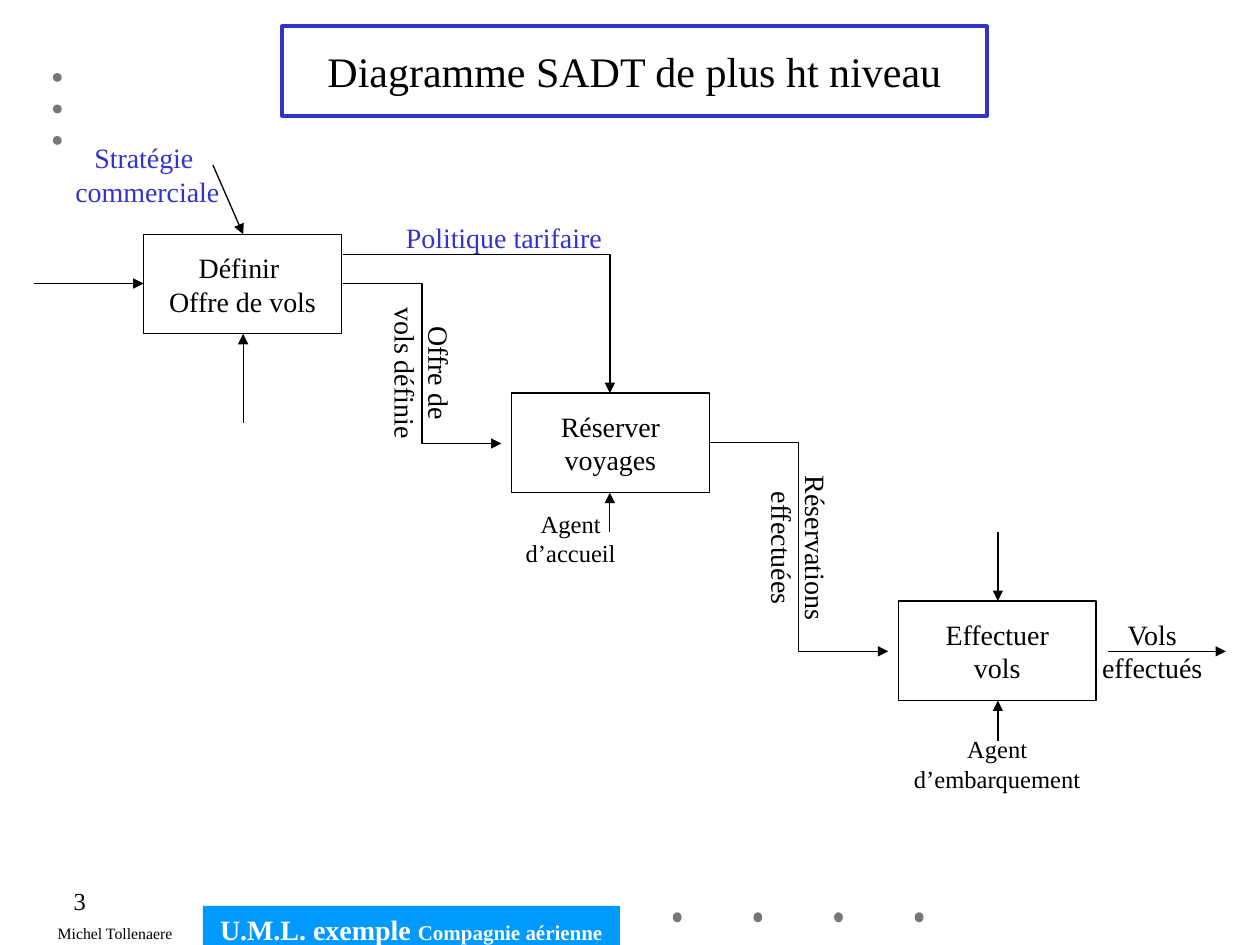
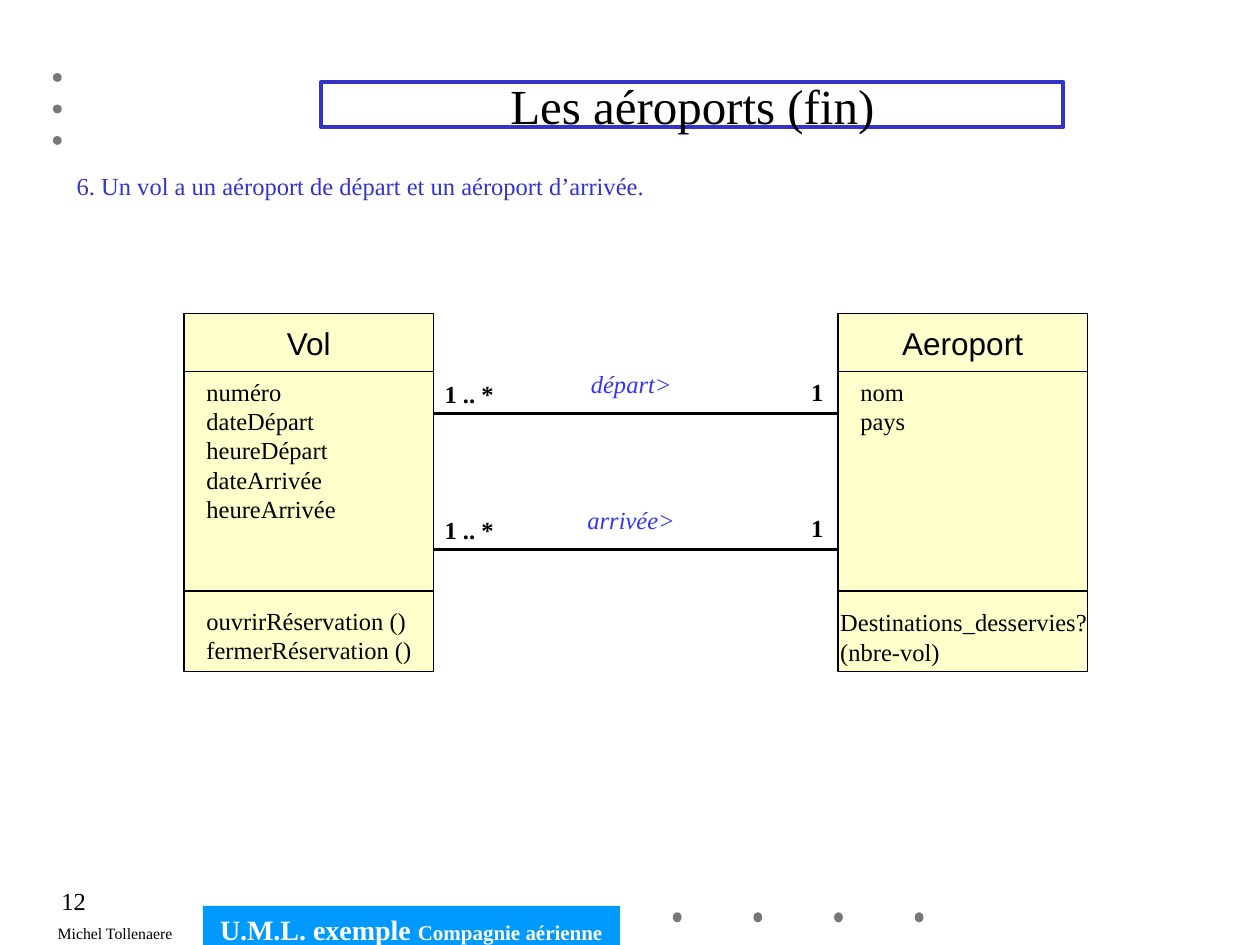
from pptx import Presentation
from pptx.dml.color import RGBColor
from pptx.enum.shapes import MSO_CONNECTOR, MSO_SHAPE
from pptx.enum.text import MSO_ANCHOR, MSO_AUTO_SIZE, PP_ALIGN
from pptx.oxml.ns import qn
from pptx.util import Inches, Pt
from lxml import etree

BLACK = RGBColor(0x00, 0x00, 0x00)
WHITE = RGBColor(0xFF, 0xFF, 0xFF)
GREY = RGBColor(0x77, 0x77, 0x77)
INDIGO = RGBColor(0x33, 0x33, 0xCC)
ROLE_BLUE = RGBColor(0x33, 0x33, 0xFF)
BAND_BLUE = RGBColor(0x00, 0x99, 0xFF)
CREAM = RGBColor(0xFF, 0xFF, 0xCC)

SERIF = "Times New Roman"
SANS = "Arial"
TITLE_ONLY = 5

PROCESS_WIDTH, PROCESS_HEIGHT = 1.57, 0.79
CLASS_TOP, CLASS_WIDTH, CLASS_HEIGHT = 2.49, 1.98, 2.84
CLASS_NAME_HEIGHT = 0.46
METHODS_LINE = 4.69


# Basic elements

def write(shape, text, size, color=BLACK, font=SERIF, align=PP_ALIGN.LEFT,
          bold=False, italic=False):
    frame = shape.text_frame
    frame.text = text
    for para in frame.paragraphs:
        para.alignment = align
        for span in para.runs:
            span.font.name = font
            span.font.size = Pt(size)
            span.font.color.rgb = color
            span.font.bold = bold
            span.font.italic = italic


def add_label(page, left, top, width, height, text, size=14, wrap=False,
              rotation=0, **style):
    box = page.shapes.add_textbox(Inches(left), Inches(top),
                                  Inches(width), Inches(height))
    box.rotation = rotation
    box.text_frame.word_wrap = wrap
    if not wrap:
        box.text_frame.auto_size = MSO_AUTO_SIZE.SHAPE_TO_FIT_TEXT
    write(box, text, size, **style)
    return box


def add_box(page, left, top, width, height, fill=None, line=BLACK,
            preset=MSO_SHAPE.RECTANGLE):
    box = page.shapes.add_shape(preset, Inches(left), Inches(top),
                                Inches(width), Inches(height))
    box.shadow.inherit = False
    if fill is None:
        box.fill.background()
    else:
        box.fill.solid()
        box.fill.fore_color.rgb = fill
    if line is None:
        box.line.fill.background()
    else:
        box.line.color.rgb = line
        box.line.width = Pt(0.75)
    return box


def add_line(page, start, end, width=0.75, kind=MSO_CONNECTOR.STRAIGHT):
    line = page.shapes.add_connector(kind, *map(Inches, start + end))
    line.line.color.rgb = BLACK
    line.line.width = Pt(width)
    etree.SubElement(line._element.spPr, qn("a:effectLst"))
    return line


def add_arrow(page, start, end, kind=MSO_CONNECTOR.STRAIGHT):
    arrow = add_line(page, start, end, kind=kind)
    outline = arrow.line._get_or_add_ln()
    etree.SubElement(outline, qn("a:tailEnd"), type="triangle")
    return arrow


def add_corner_arrow(page, start, end):
    """Arrow with one bend: across, then down."""
    arrow = add_arrow(page, start, end, MSO_CONNECTOR.ELBOW)
    geometry = arrow._element.spPr.find(qn("a:prstGeom"))
    geometry.set("prst", "bentConnector2")


# Shared page furniture

def add_dot(page, left, top, height):
    add_box(page, left, top, 0.07, height, GREY, None, MSO_SHAPE.OVAL)


def add_furniture(page, number):
    add_label(page, 0.36, 7.28, 1.12, 0.25, "Michel Tollenaere", size=9)
    for row in range(3):
        add_dot(page, 0.42, 0.58 + 0.25 * row, 0.07)
    for column in range(4):
        add_dot(page, 5.34 + 0.64 * column, 7.24, 0.08)

    band = add_box(page, 1.61, 7.19, 3.31, 0.31, BAND_BLUE, None)
    band.text_frame.vertical_anchor = MSO_ANCHOR.TOP
    write(band, "U.M.L. exemple ", 16, WHITE, align=PP_ALIGN.CENTER, bold=True)
    course = band.text_frame.paragraphs[0].add_run()
    course.text = "Compagnie aérienne"
    course.font.name = SERIF
    course.font.size = Pt(12)
    course.font.color.rgb = WHITE
    course.font.bold = True

    add_label(page, 0, 6.98, 0.78, 0.31, str(number), wrap=True,
              align=PP_ALIGN.RIGHT)


def add_page(deck, number, title, size, left, top, width, height):
    page = deck.slides.add_slide(deck.slide_layouts[TITLE_ONLY])
    add_furniture(page, number)
    heading = page.shapes.title
    heading.left, heading.top = Inches(left), Inches(top)
    heading.width, heading.height = Inches(width), Inches(height)
    heading.line.color.rgb = INDIGO
    heading.line.width = Pt(2.25)
    write(heading, title, size, align=PP_ALIGN.CENTER)
    heading.text_frame.auto_size = MSO_AUTO_SIZE.NONE
    heading.text_frame.vertical_anchor = MSO_ANCHOR.MIDDLE
    return page


# Diagram elements

def add_process(page, left, top, text):
    box = add_box(page, left, top, PROCESS_WIDTH, PROCESS_HEIGHT)
    box.text_frame.vertical_anchor = MSO_ANCHOR.MIDDLE
    write(box, text, 16, align=PP_ALIGN.CENTER)


def add_class(page, left, name, attributes):
    add_box(page, left, CLASS_TOP, CLASS_WIDTH, CLASS_HEIGHT, CREAM)
    header = add_box(page, left, CLASS_TOP, CLASS_WIDTH, CLASS_NAME_HEIGHT)
    header.text_frame.vertical_anchor = MSO_ANCHOR.MIDDLE
    write(header, name, 18, font=SANS, align=PP_ALIGN.CENTER)
    add_line(page, (left, METHODS_LINE), (left + CLASS_WIDTH, METHODS_LINE))
    add_label(page, left + 0.08, 2.94, 1.6, 0.23 * len(attributes) + 0.11,
              "\n".join(attributes), wrap=True)


def add_association(page, start, end, y, role):
    add_line(page, (start, y), (end, y), width=1.5)
    add_label(page, start - 0.01, y - 0.32, 0.59, 0.34, "1 .. *", bold=True)
    add_label(page, end - 0.31, y - 0.34, 0.3, 0.34, "1", bold=True)
    add_label(page, 4.41, y - 0.4, 1.2, 0.34, role, wrap=True,
              color=ROLE_BLUE, align=PP_ALIGN.CENTER, italic=True)


# Slides

def build_sadt_page(deck):
    page = add_page(deck, 3, "Diagramme SADT de plus ht niveau", 24,
                    2.24, 0.21, 5.59, 0.71)
    add_process(page, 1.14, 1.86, "Définir \nOffre de vols")
    add_process(page, 4.06, 3.12, "Réserver\nvoyages")
    add_process(page, 7.13, 4.77, "Effectuer\nvols")

    straight_arrows = [
        ((1.69, 1.31), (1.93, 1.86)),
        ((1.93, 3.36), (1.93, 2.65)),
        ((0.27, 2.25), (1.14, 2.25)),
        ((4.84, 4.22), (4.84, 3.91)),
        ((7.92, 4.22), (7.92, 4.77)),
        ((7.92, 5.88), (7.92, 5.56)),
        ((8.79, 5.17), (9.73, 5.17)),
    ]
    for start, end in straight_arrows:
        add_arrow(page, start, end)
    add_arrow(page, (2.72, 2.25), (3.98, 3.52), MSO_CONNECTOR.ELBOW)
    add_arrow(page, (5.63, 3.51), (7.05, 5.17), MSO_CONNECTOR.ELBOW)
    add_corner_arrow(page, (2.72, 2.02), (4.84, 3.12))

    # Controls, flows and agents
    labels = [
        (0.42, 1.07, 1.5, 0.64, "Stratégie \ncommerciale", 16, 0, INDIGO),
        (3.05, 1.7, 1.9, 0.37, "Politique tarifaire", 16, 0, INDIGO),
        (2.72, 2.64, 1.26, 0.64, "Offre de vols définie", 16, 90, BLACK),
        (5.6, 4.03, 1.48, 0.64, "Réservations effectuées", 16, 90, BLACK),
        (8.56, 4.85, 1.17, 0.64, "Vols effectués", 16, 0, BLACK),
        (3.98, 3.99, 1.1, 0.57, "Agent d’accueil", 14, 0, BLACK),
        (7.05, 5.78, 1.73, 0.57, "Agent d’embarquement", 14, 0, BLACK),
    ]
    for left, top, width, height, text, size, rotation, color in labels:
        add_label(page, left, top, width, height, text, size, wrap=True,
                  rotation=rotation, color=color, align=PP_ALIGN.CENTER)


def build_airports_page(deck):
    page = add_page(deck, 12, "Les aéroports (fin)", 28,
                    2.55, 0.65, 5.89, 0.36)
    add_label(page, 0.51, 1.31, 8.98, 0.34,
              "6. Un vol a un aéroport de départ et un aéroport d’arrivée.",
              wrap=True, color=INDIGO)

    flight_left, airport_left = 1.46, 6.65
    add_class(page, flight_left, "Vol",
              ["numéro", "dateDépart", "heureDépart", "dateArrivée",
               "heureArrivée"])
    add_class(page, airport_left, "Aeroport", ["nom", "pays"])
    add_label(page, 1.54, 4.76, 1.9, 0.57,
              "ouvrirRéservation ()\nfermerRéservation ()", wrap=True)
    add_label(page, 6.57, 4.77, 2.2, 0.57,
              "Destinations_desservies? (nbre-vol)", wrap=True)

    for y, role in ((3.28, "départ>"), (4.36, "arrivée>")):
        add_association(page, flight_left + CLASS_WIDTH, airport_left, y, role)


def main():
    deck = Presentation()
    deck.slide_width, deck.slide_height = Inches(10), Inches(7.5)
    build_sadt_page(deck)
    build_airports_page(deck)
    deck.save("out.pptx")


if __name__ == "__main__":
    main()
